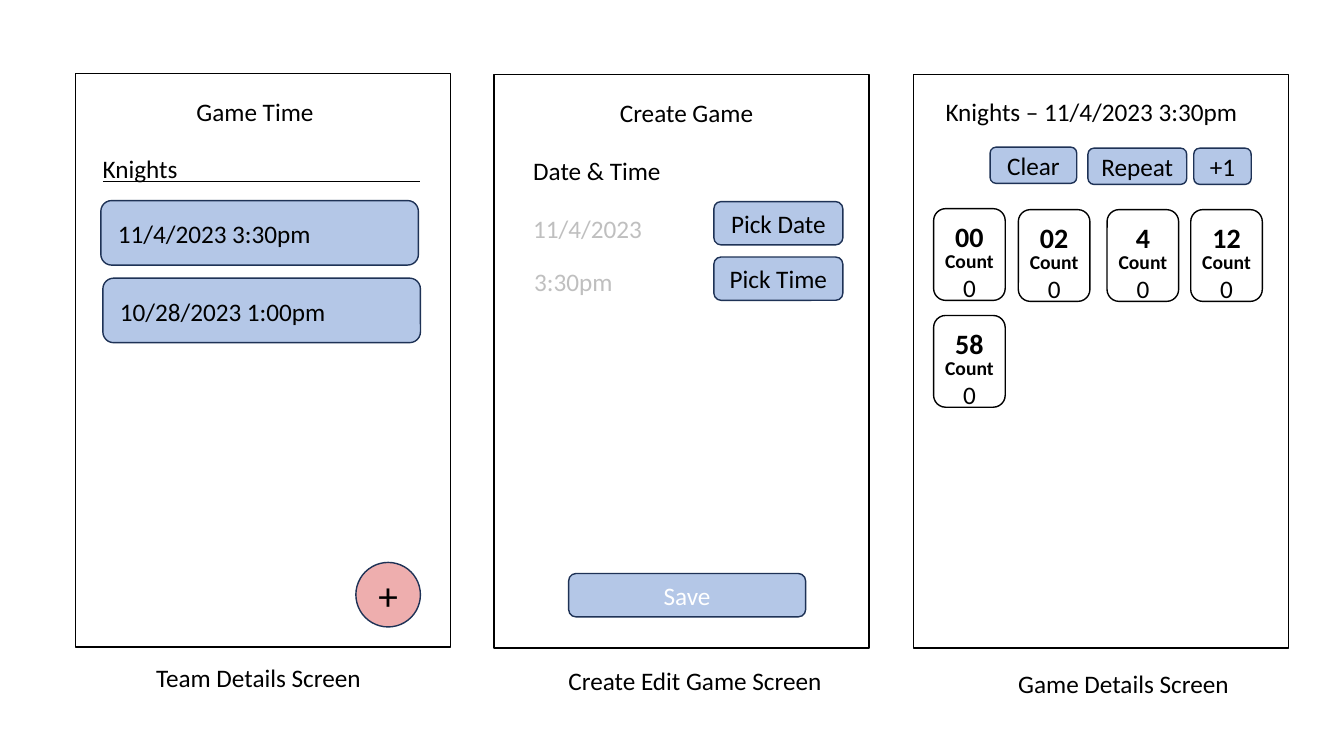
from pptx import Presentation
from pptx.dml.color import RGBColor
from pptx.enum.shapes import MSO_CONNECTOR, MSO_SHAPE
from pptx.enum.text import MSO_ANCHOR, MSO_AUTO_SIZE, PP_ALIGN
from pptx.oxml.ns import qn
from pptx.util import Pt
from lxml import etree

PX = 9144  # 100 px to the inch
BLACK, WHITE, GREY = "000000", "FFFFFF", "BFBFBF"
BLUE, NAVY, PINK = "B4C7E7", "1E3256", "EEAEAE"


def rgb(value):
    return RGBColor.from_string(value)


def add_text(tf, text, first=True, size=18, color=BLACK, bold=False, align=PP_ALIGN.LEFT):
    p = tf.paragraphs[0] if first else tf.add_paragraph()
    p.alignment = align
    r = p.add_run()
    r.text = text
    r.font.name = "Calibri"
    r.font.size = Pt(size)
    r.font.bold = bold
    r.font.color.rgb = rgb(color)


class Wireframe:
    def __init__(self, slide):
        self.s = slide

    def shape(self, kind, x, y, w, h, fill=WHITE, line=BLACK):
        sp = self.s.shapes.add_shape(kind, x * PX, y * PX, w * PX, h * PX)
        sp.shadow.inherit = False
        sp.fill.solid()
        sp.fill.fore_color.rgb = rgb(fill)
        sp.line.color.rgb = rgb(line)
        sp.line.width = Pt(1)
        return sp

    def text_box(self, x, y, w, h=40):
        tf = self.s.shapes.add_textbox(x * PX, y * PX, w * PX, h * PX).text_frame
        tf.word_wrap = False
        tf.auto_size = MSO_AUTO_SIZE.SHAPE_TO_FIT_TEXT
        return tf

    def label(self, text, x, y, w, **fmt):
        add_text(self.text_box(x, y, w), text, **fmt)

    def button(self, text, x, y, w, h, kind=MSO_SHAPE.ROUNDED_RECTANGLE, fill=BLUE, **fmt):
        tf = self.shape(kind, x, y, w, h, fill, NAVY).text_frame
        tf.vertical_anchor = MSO_ANCHOR.MIDDLE
        add_text(tf, text, align=PP_ALIGN.CENTER, **fmt)

    def game(self, text, x, y, w):
        self.shape(MSO_SHAPE.ROUNDED_RECTANGLE, x, y, 315, 64, BLUE, NAVY)
        self.label(text, x + 7, y + 13, w)

    def player(self, number, x, y):
        self.shape(MSO_SHAPE.ROUNDED_RECTANGLE, x, y, 71, 91)
        add_text(self.text_box(x + 11, y + 6, 49, 44), number,
                 size=20, bold=True, align=PP_ALIGN.CENTER)
        tf = self.text_box(x + 1, y + 35, 69, 64)
        add_text(tf, "Count", size=14, bold=True, align=PP_ALIGN.CENTER)
        add_text(tf, "0", first=False, align=PP_ALIGN.CENTER)

    def rule(self, x1, x2, y):
        ln = self.s.shapes.add_connector(MSO_CONNECTOR.STRAIGHT, x1 * PX, y * PX, x2 * PX, y * PX)
        ln.line.color.rgb = rgb(BLACK)
        ln.line.width = Pt(0.5)
        etree.SubElement(ln._element.spPr, qn("a:effectLst"))

    def screen(self, x, y):
        self.shape(MSO_SHAPE.RECTANGLE, x, y, 372, 569)


def main():
    prs = Presentation()
    prs.slide_width, prs.slide_height = 1333 * PX, 750 * PX
    wf = Wireframe(prs.slides.add_slide(prs.slide_layouts[6]))

    # Team details screen
    wf.screen(75, 73)
    wf.label("Game Time", 185, 91, 138)
    wf.label("Knights", 92, 147, 95)
    wf.rule(102, 417, 180)
    wf.game("11/4/2023 3:30pm", 100, 199, 215)
    wf.game("10/28/2023 1:00pm", 102, 276, 227)
    wf.button("+", 353, 558, 64, 64, MSO_SHAPE.OVAL, PINK, size=28)
    wf.label("Team Details Screen", 145, 652, 226)

    # Create and edit game screen
    wf.screen(490, 74)
    wf.label("Create Game", 605, 92, 154)
    wf.label("Date & Time", 519, 149, 148)
    wf.label("11/4/2023", 519, 207, 129, color=GREY)
    wf.label("3:30pm", 520, 259, 99, color=GREY)
    for i, text in enumerate(["Pick Date", "Pick Time"]):
        wf.button(text, 708, 200 + 55 * i, 128, 43)
    wf.button("Save", 564, 569, 235, 43, color=WHITE)
    wf.label("Create Edit Game Screen", 554, 655, 274)

    # Game details screen
    wf.screen(906, 74)
    wf.label("Knights – 11/4/2023 3:30pm", 928, 91, 313)
    for text, x, y, w in [("Clear", 982, 146, 86), ("Repeat", 1079, 147, 98), ("+1", 1184, 147, 57)]:
        wf.button(text, x, y, w, 36)
    for number, x, y in [("00", 926, 207), ("02", 1010, 208), ("4", 1098, 208),
                         ("12", 1181, 208), ("58", 926, 313)]:
        wf.player(number, x, y)
    wf.label("Game Details Screen", 1000, 658, 232)

    prs.save("out.pptx")


if __name__ == "__main__":
    main()
